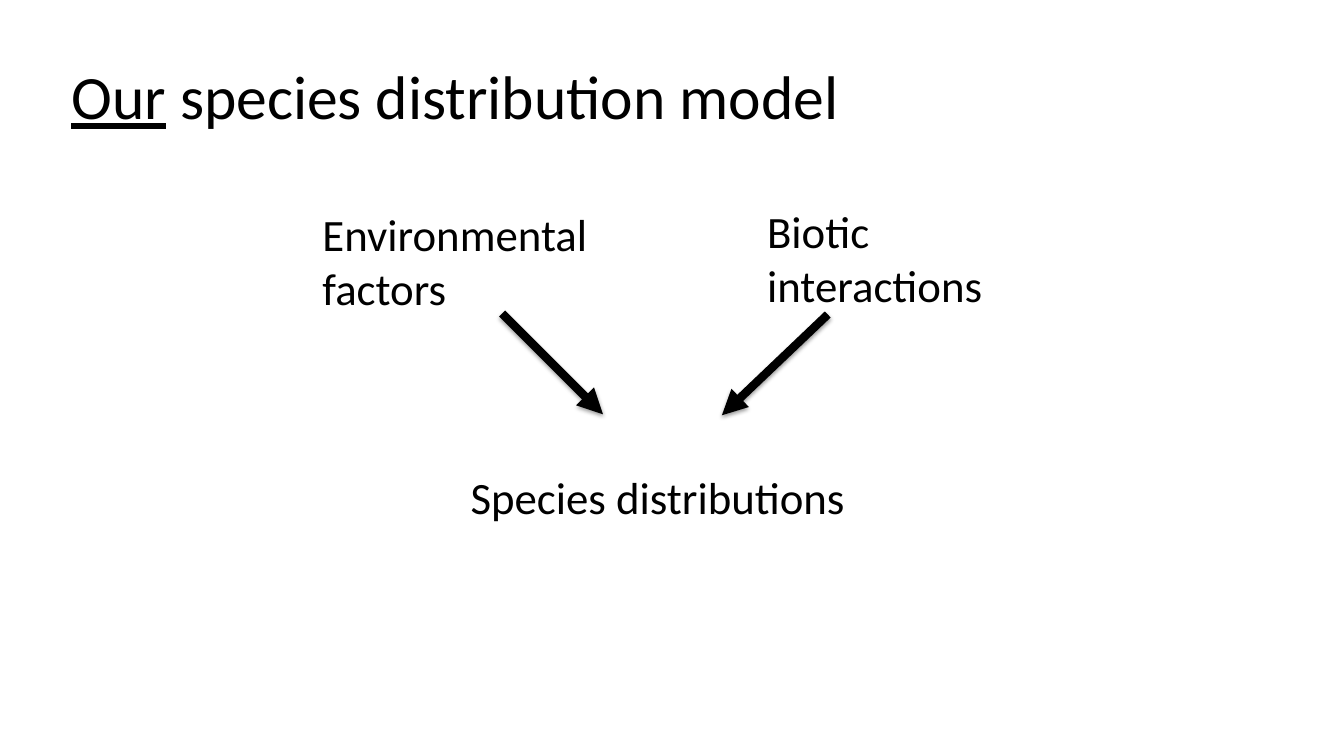
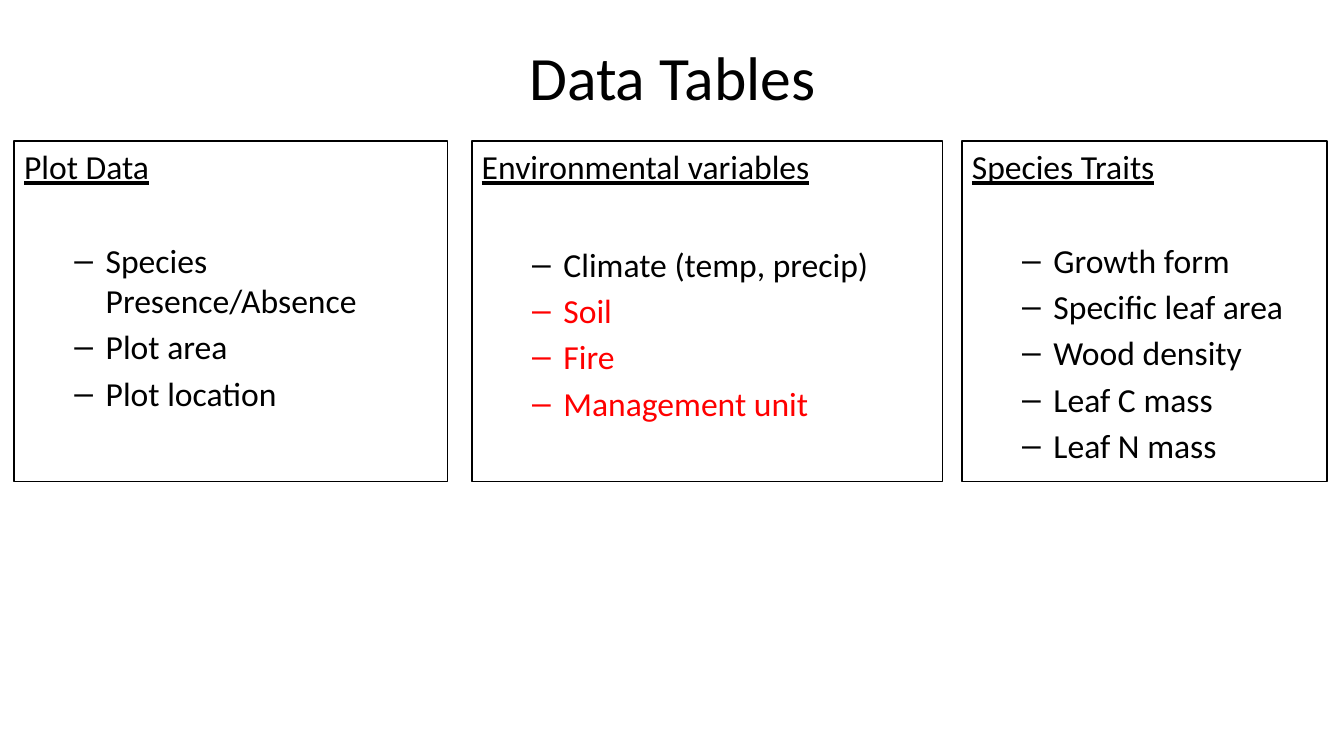
from lxml import etree
from pptx import Presentation
from pptx.dml.color import RGBColor
from pptx.enum.shapes import MSO_CONNECTOR, MSO_SHAPE
from pptx.enum.text import MSO_ANCHOR, PP_ALIGN
from pptx.oxml.ns import qn
from pptx.util import Inches, Pt

STRAIGHT = MSO_CONNECTOR.STRAIGHT
RECTANGLE = MSO_SHAPE.RECTANGLE
TOP, MIDDLE = MSO_ANCHOR.TOP, MSO_ANCHOR.MIDDLE
LEFT, CENTER = PP_ALIGN.LEFT, PP_ALIGN.CENTER

FONT = "Calibri"
BLACK, RED = "000000", "FF0000"
TITLE_SIZE, LABEL_SIZE, LIST_SIZE = 44, 32, 24
ITEM_GAP = 4.3
PANEL_TOP, PANEL_HEIGHT = 1.4, 3.38

PANELS = [
    (0.14, 4.3, "Plot Data", 37.9,
     [("Species Presence/Absence", BLACK), ("Plot area", BLACK),
      ("Plot location", BLACK)]),
    (4.68, 4.67, "Environmental variables", 40.7,
     [("Climate (temp, precip)", BLACK), ("Soil", RED), ("Fire", RED),
      ("Management unit", RED)]),
    (9.54, 3.62, "Species Traits", 37.9,
     [("Growth form", BLACK), ("Specific leaf area", BLACK),
      ("Wood density", BLACK), ("Leaf C mass", BLACK),
      ("Leaf N mass", BLACK)]),
]


def color(value):
    return RGBColor.from_string(value)


def add_span(para, text, size, tint=BLACK, underline=False):
    span = para.add_run()
    span.text = text
    span.font.name = FONT
    span.font.size = Pt(size)
    span.font.color.rgb = color(tint)
    span.font.underline = underline


def add_text(page, area, spans, size, align=LEFT, anchor=TOP):
    box = page.shapes.add_textbox(*map(Inches, area))
    frame = box.text_frame
    frame.word_wrap = True
    frame.vertical_anchor = anchor
    para = frame.paragraphs[0]
    para.alignment = align
    for text, underline in spans:
        add_span(para, text, size, underline=underline)


def add_arrow(page, start, end):
    arrow = page.shapes.add_connector(STRAIGHT, *map(Inches, start + end))
    arrow.line.width = Pt(6)
    arrow.line.color.rgb = color(BLACK)
    line = arrow.line._get_or_add_ln()
    etree.SubElement(line, qn("a:tailEnd"), type="triangle")
    effects = etree.SubElement(arrow._element.spPr, qn("a:effectLst"))
    shadow = etree.SubElement(
        effects, qn("a:outerShdw"), blurRad=str(Pt(3.1)), dist=str(Pt(1.6)),
        dir="5400000", rotWithShape="0")
    tint = etree.SubElement(shadow, qn("a:srgbClr"), val=BLACK)
    etree.SubElement(tint, qn("a:alpha"), val="38000")


def add_dash(para):
    properties = para._p.get_or_add_pPr()
    properties.set("marL", str(Inches(0.81)))
    properties.set("indent", str(Inches(-0.31)))
    etree.SubElement(properties, qn("a:buFont"), typeface="Arial")
    etree.SubElement(properties, qn("a:buChar"), char="–")


def add_panel(page, left, width, heading, heading_gap, items):
    panel = page.shapes.add_shape(
        RECTANGLE, *map(Inches, (left, PANEL_TOP, width, PANEL_HEIGHT)))
    panel.shadow.inherit = False
    panel.fill.background()
    panel.line.color.rgb = color(BLACK)
    panel.line.width = Pt(1)
    frame = panel.text_frame
    frame.word_wrap = True
    frame.vertical_anchor = TOP
    para = frame.paragraphs[0]
    para.alignment = LEFT
    add_span(para, heading, LIST_SIZE, underline=True)
    for index, (text, tint) in enumerate(items):
        para = frame.add_paragraph()
        add_dash(para)
        para.alignment = LEFT
        para.space_before = Pt(ITEM_GAP if index else heading_gap)
        add_span(para, text, LIST_SIZE, tint)


def build_model(page):
    add_text(page, (0.61, 0.53, 7.9, 0.84),
             [("Our", True), (" species distribution model", False)],
             TITLE_SIZE)
    add_text(page, (4.1, 4.3, 4.85, 1.25), [("Species distributions", False)],
             LABEL_SIZE, CENTER, MIDDLE)
    add_arrow(page, (4.98, 3.11), (5.98, 4.11))
    add_arrow(page, (8.21, 3.12), (7.16, 4.12))
    for left, top, label in ((3.1, 2, "Environmental factors"),
                             (7.51, 1.97, "Biotic interactions")):
        add_text(page, (left, top, 2.88, 1.18), [(label, False)], LABEL_SIZE)


def build_tables(page):
    add_text(page, (2.17, 0.25, 9, 1.01), [("Data Tables", False)],
             TITLE_SIZE, CENTER, MIDDLE)
    for panel in PANELS:
        add_panel(page, *panel)


def main():
    deck = Presentation()
    deck.slide_width, deck.slide_height = Inches(13.33), Inches(7.5)
    for build in (build_model, build_tables):
        build(deck.slides.add_slide(deck.slide_layouts[6]))
    deck.save("out.pptx")


if __name__ == "__main__":
    main()
